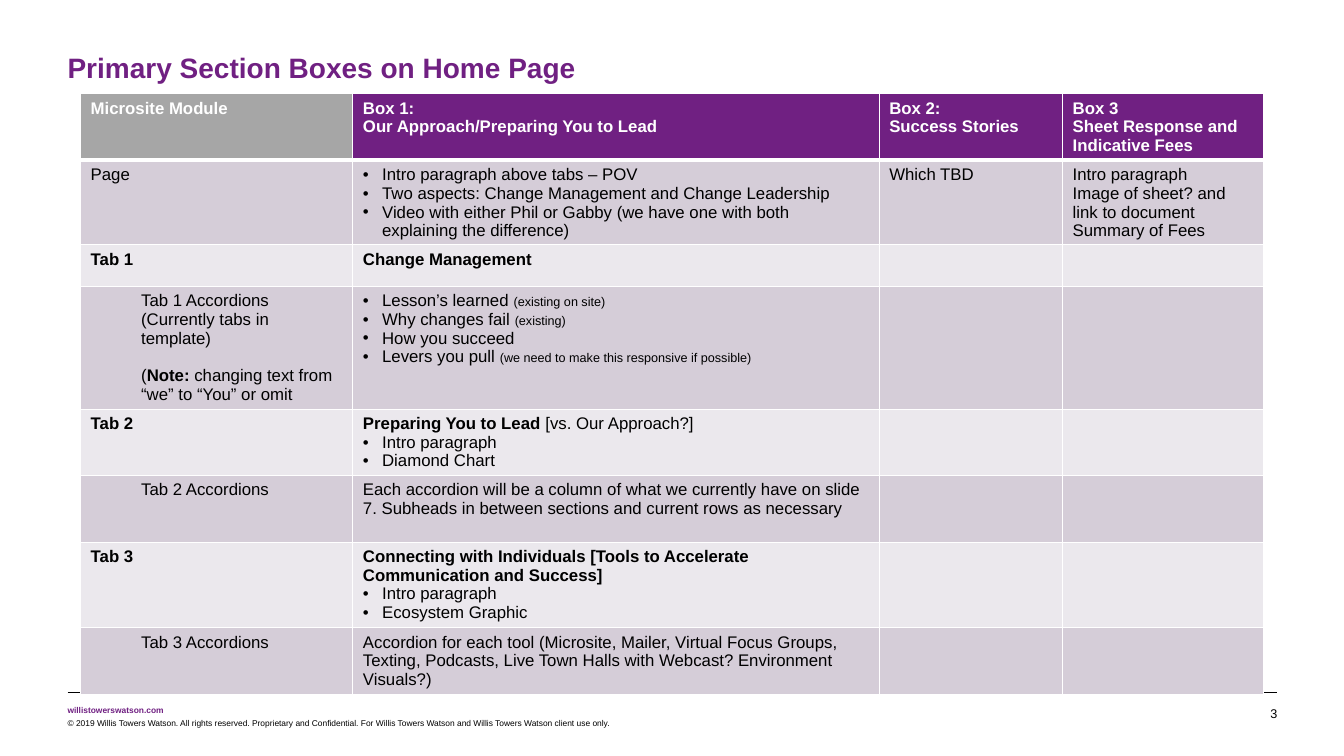
from collections import namedtuple
from dataclasses import dataclass

from lxml import etree
from pptx import Presentation
from pptx.dml.color import RGBColor
from pptx.enum import shapes, text
from pptx.oxml import ns
from pptx.util import Inches, Pt


@dataclass(frozen=True)
class Theme:
    font: str = "Arial"
    purple: RGBColor = RGBColor(0x70, 0x20, 0x82)
    gray: RGBColor = RGBColor(0xA6, 0xA6, 0xA6)
    dark_band: RGBColor = RGBColor(0xD5, 0xCD, 0xD8)
    light_band: RGBColor = RGBColor(0xEB, 0xE8, 0xED)
    black: RGBColor = RGBColor(0, 0, 0)
    white: RGBColor = RGBColor(255, 255, 255)
    title: Pt = Pt(20)
    body: Pt = Pt(12)
    small: Pt = Pt(9)
    footer: Pt = Pt(6)
    line_pitch: Pt = Pt(13.4)


theme = Theme()
# A line is plain, bold, bullet, nested or note; "aside" is small, "flip" reverses the weight.
Line = namedtuple("Line", "kind words aside flip rest", defaults=("", "", ""))


def style(para, size, color, bold=False):
    para.font.name = theme.font
    para.font.size = size
    para.font.color.rgb = color
    para.font.bold = bold


def write_cell(cell, lines, color):
    for index, line in enumerate(lines):
        frame = cell.text_frame
        para = frame.add_paragraph() if index else frame.paragraphs[0]
        para.line_spacing = theme.line_pitch
        properties = para._p.get_or_add_pPr()
        if line.kind == "note":
            para.space_before = theme.line_pitch
        if line.kind == "bullet":
            properties.set("marL", str(Inches(0.19)))
            properties.set("indent", str(-Inches(0.19)))
            etree.SubElement(properties, ns.qn("a:buFont")).set("typeface", theme.font)
            etree.SubElement(properties, ns.qn("a:buChar")).set("char", "•")
        elif line.kind in ("nested", "note"):
            para.level = 1
            properties.set("marL", str(Inches(0.5)))
            properties.set("indent", "0")
        bold = line.kind == "bold"
        style(para, theme.body, color, bold)
        for part in ("words", "aside", "flip", "rest"):
            if getattr(line, part):
                span = para.add_run()
                span.text = getattr(line, part)
                if part == "aside":
                    span.font.size = theme.small
                elif part == "flip":
                    span.font.bold = not bold


deck = Presentation()
deck.slide_width, deck.slide_height = Inches(13.33), Inches(7.5)
page = deck.slides.add_slide(deck.slide_layouts[6])

rule = page.shapes.add_connector(
    shapes.MSO_CONNECTOR.STRAIGHT, Inches(0.67), Inches(6.87), Inches(12.67), Inches(6.87))
rule.line.color.rgb = theme.black
rule.line.width = Pt(0.25)
etree.SubElement(rule._element.spPr, ns.qn("a:effectLst"))

left, right = text.PP_ALIGN.LEFT, text.PP_ALIGN.RIGHT
labels = [
    ("Primary Section Boxes on Home Page", (0.67, 0.5, 12, 0.34),
     theme.title, theme.purple, True, left),
    ("willistowerswatson.com", (0.67, 7, 0.96, 0.1), theme.footer, theme.purple, True, left),
    ("© 2019 Willis Towers Watson. All rights reserved. Proprietary and Confidential. "
     "For Willis Towers Watson and Willis Towers Watson client use only.",
     (0.67, 7.12, 7.7, 0.1), theme.footer, theme.black, False, left),
    ("3", (12.11, 7, 0.56, 0.15), theme.small, theme.black, False, right),
]
for words, place, size, color, bold, align in labels:
    box = page.shapes.add_textbox(*map(Inches, place))
    frame = box.text_frame
    frame.word_wrap = True
    frame.margin_left = frame.margin_top = frame.margin_right = frame.margin_bottom = 0
    para = frame.paragraphs[0]
    para.text = words
    para.alignment = align
    style(para, size, color, bold)

rows = [
    [[Line("bold", "Microsite Module")],
     [Line("bold", "Box 1:"), Line("bold", "Our Approach/Preparing You to Lead")],
     [Line("bold", "Box 2:"), Line("bold", "Success Stories")],
     [Line("bold", "Box 3"), Line("bold", "Sheet Response and Indicative Fees")]],
    [[Line("plain", "Page")],
     [Line("bullet", "Intro paragraph above tabs – POV"),
      Line("bullet", "Two aspects: Change Management and Change Leadership"),
      Line("bullet", "Video with either Phil or Gabby (we have one with both "
                     "explaining the difference)")],
     [Line("plain", "Which TBD")],
     [Line("plain", "Intro paragraph"),
      Line("plain", "Image of sheet? and link to document"),
      Line("plain", "Summary of Fees")]],
    [[Line("bold", "Tab 1")], [Line("bold", "Change Management")]],
    [[Line("nested", "Tab 1 Accordions"),
      Line("nested", "(Currently tabs in template)"),
      Line("note", "(", flip="Note: ", rest="changing text from “we” to “You” or omit")],
     [Line("bullet", "Lesson’s learned ", aside="(existing on site)"),
      Line("bullet", "Why changes fail ", aside="(existing)"),
      Line("bullet", "How you succeed"),
      Line("bullet", "Levers you pull ",
           aside="(we need to make this responsive if possible)")]],
    [[Line("bold", "Tab 2")],
     [Line("bold", "Preparing You to Lead ", flip="[vs. Our Approach?]"),
      Line("bullet", "Intro paragraph"),
      Line("bullet", "Diamond Chart")]],
    [[Line("nested", "Tab 2 Accordions")],
     [Line("plain", "Each accordion will be a column of what we currently have on slide 7. "
                    "Subheads in between sections and current rows as necessary")]],
    [[Line("bold", "Tab 3")],
     [Line("bold", "Connecting with Individuals [Tools to Accelerate "
                   "Communication and Success]"),
      Line("bullet", "Intro paragraph"),
      Line("bullet", "Ecosystem Graphic")]],
    [[Line("nested", "Tab 3 Accordions")],
     [Line("plain", "Accordion for each tool (Microsite, Mailer, Virtual Focus Groups, "
                    "Texting, Podcasts, Live Town Halls with Webcast? Environment Visuals?)")]],
]
widths = [2.7, 5.22, 1.82, 1.99]
heights = [0.66, 0.84, 0.41, 1.22, 0.66, 0.66, 0.85, 0.66]
table = page.shapes.add_table(
    len(rows), len(widths), Inches(0.8), Inches(0.93),
    Inches(sum(widths)), Inches(sum(heights))).table
table.horz_banding = False
for column, width in zip(table.columns, widths):
    column.width = Inches(width)
for number, (row, height) in enumerate(zip(rows, heights)):
    table.rows[number].height = Inches(height)
    for position in range(len(widths)):
        cell = table.cell(number, position)
        cell.margin_bottom = 0
        if number == 0:
            fill = theme.purple if position else theme.gray
            border = etree.SubElement(cell._tc.get_or_add_tcPr(), ns.qn("a:lnB"))
            border.set("w", str(Pt(3)))
            paint = etree.SubElement(border, ns.qn("a:solidFill"))
            etree.SubElement(paint, ns.qn("a:srgbClr")).set("val", str(theme.white))
        else:
            fill = theme.dark_band if number % 2 else theme.light_band
        cell.fill.solid()
        cell.fill.fore_color.rgb = fill
        if position < len(row):
            write_cell(cell, row[position], theme.black if number else theme.white)

deck.save("out.pptx")
